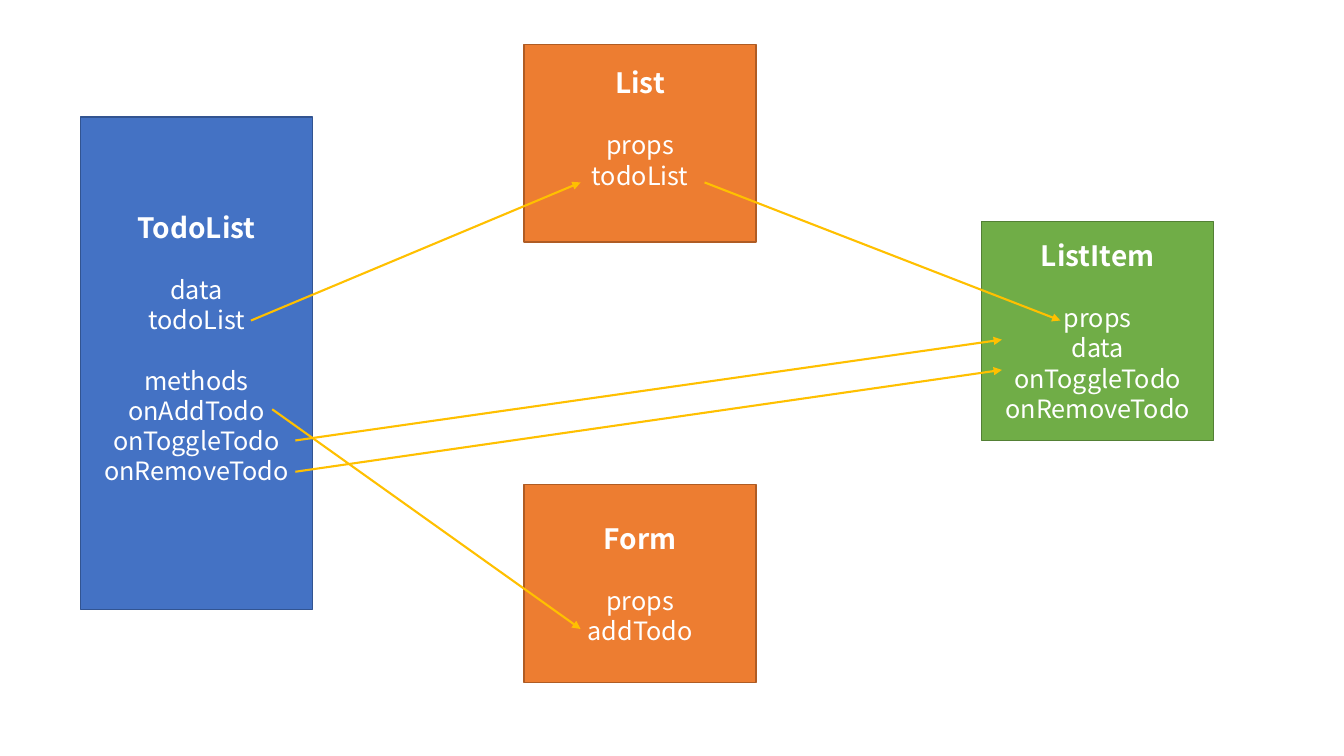
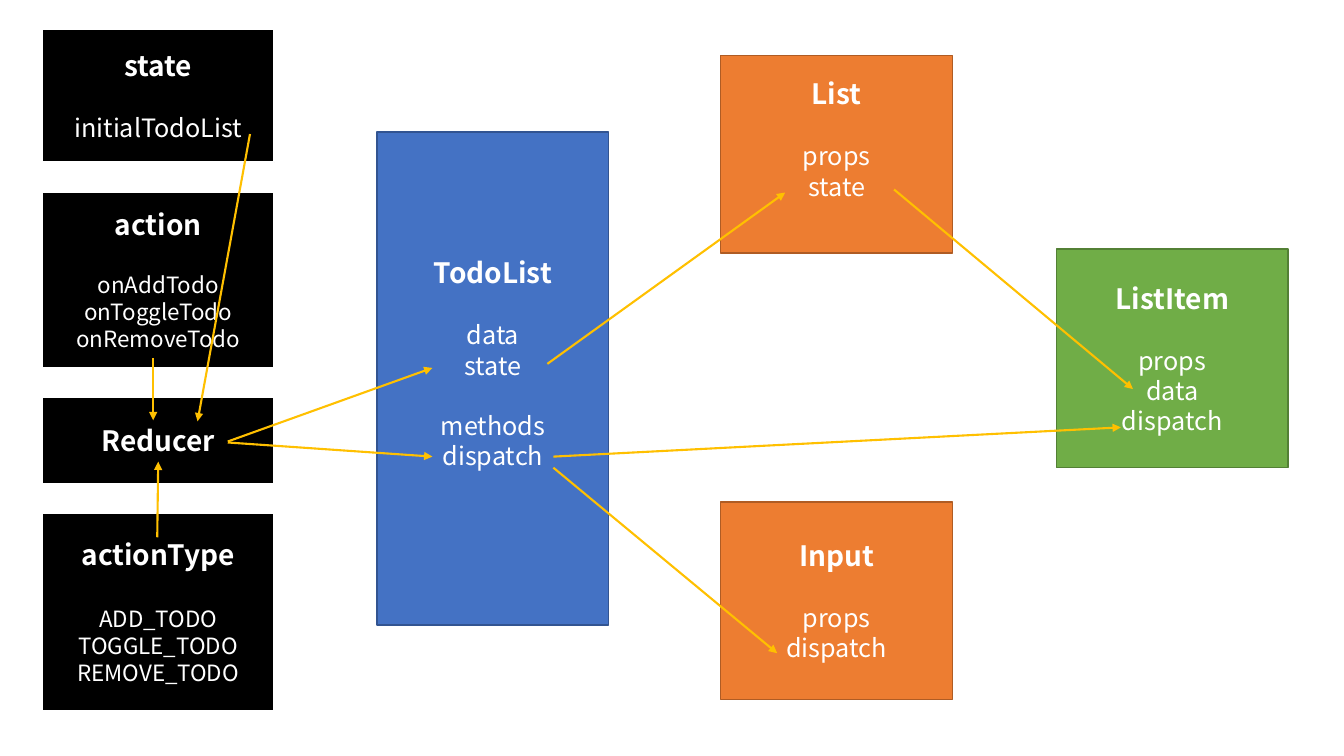
from collections import namedtuple

from lxml import etree
from pptx import Presentation
from pptx import util as u
from pptx.dml.color import RGBColor
from pptx.enum import shapes, text
from pptx.oxml import ns

CELL = u.Inches(0.1)
SLIDE_COLUMNS, SLIDE_ROWS = 133.33, 75
CARD_WIDTH = 23
FONT = "Noto Sans CJK SC"
TITLE_SIZE, BODY_SIZE, SMALL_SIZE = 20, 18, 16
LEADING = 1.2
COLORS = {"text": "FFFFFF", "arrow": "FFC000"}
Style = namedtuple("Style", "fill line weight")
STYLES = {
    "container": Style("4472C4", "325491", 1),
    "child": Style("ED7D31", "AF5C24", 1),
    "item": Style("70AD47", "538035", 1),
    "store": Style("000000", "FFFFFF", 1.5),
}
Box = namedtuple("Box", "column row width height")


def cells(count):
    return round(count * CELL)


def rgb(value):
    return RGBColor.from_string(value)


def write_line(paragraph, words, size, bold):
    paragraph.alignment = text.PP_ALIGN.CENTER
    paragraph.line_spacing = u.Pt(size * LEADING)
    run = paragraph.add_run()
    run.text = words
    run.font.name = FONT
    run.font.size = u.Pt(size)
    run.font.bold = bold
    run.font.color.rgb = rgb(COLORS["text"])


def add_card(slide, box, style_name, title, *groups, size=BODY_SIZE,
             gap=BODY_SIZE, lifted=False):
    style = STYLES[style_name]
    shape = slide.shapes.add_shape(
        shapes.MSO_SHAPE.RECTANGLE, *[cells(length) for length in box])
    shape.shadow.inherit = False
    shape.fill.solid()
    shape.fill.fore_color.rgb = rgb(style.fill)
    shape.line.color.rgb = rgb(style.line)
    shape.line.width = u.Pt(style.weight)
    frame = shape.text_frame
    frame.word_wrap = True
    frame.vertical_anchor = text.MSO_ANCHOR.MIDDLE
    if lifted:
        frame.margin_bottom += u.Pt(gap * LEADING)
    paragraph = frame.paragraphs[0]
    write_line(paragraph, title, TITLE_SIZE, True)
    for group in groups:
        paragraph.space_after = u.Pt(gap * LEADING)
        for words in group.split():
            paragraph = frame.add_paragraph()
            write_line(paragraph, words, size, False)
    return box


def add_arrow(slide, start_box, start, end_box, end):
    points = [cells(edge + offset)
              for box, place in ((start_box, start), (end_box, end))
              for edge, offset in zip(box[:2], place)]
    arrow = slide.shapes.add_connector(shapes.MSO_CONNECTOR.STRAIGHT, *points)
    arrow.line.color.rgb = rgb(COLORS["arrow"])
    arrow.line.width = u.Pt(1.5)
    etree.SubElement(arrow.line._get_or_add_ln(), ns.qn("a:tailEnd"),
                     type="triangle")
    etree.SubElement(arrow._element.spPr, ns.qn("a:effectLst"))


def add_arrows(slide, arrows):
    for arrow in arrows:
        add_arrow(slide, *arrow)


def add_components(slide, places, names, bodies):
    layouts = (("container", 48.9, True), ("child", 19.6, True),
               ("child", 19.6, False), ("item", 21.7, False))
    return [
        add_card(slide, Box(*place, CARD_WIDTH, height), style, name, *groups,
                 lifted=lifted)
        for place, name, groups, (style, height, lifted)
        in zip(places, names, bodies, layouts)]


def add_store(slide, column, top, gap):
    cards = (
        (13.2, "state", ["initialTodoList"], {}),
        (17.5, "action", ["onAddTodo onToggleTodo onRemoveTodo"],
         {"size": SMALL_SIZE}),
        (8.6, "Reducer", [], {}),
        (19.6, "actionType", ["ADD_TODO TOGGLE_TODO REMOVE_TODO"],
         {"size": SMALL_SIZE, "gap": TITLE_SIZE}),
    )
    boxes = []
    for height, title, groups, options in cards:
        box = Box(column, top, CARD_WIDTH, height)
        boxes.append(add_card(slide, box, "store", title, *groups, **options))
        top += height + gap
    return boxes


def build_props_slide(slide):
    todo, todo_list, form, item = add_components(
        slide,
        ((8, 11.6), (52, 4.4), (52, 48.1), (97.4, 22)),
        ("TodoList", "List", "Form", "ListItem"),
        (("data todoList", "methods onAddTodo onToggleTodo onRemoveTodo"),
         ("props todoList",),
         ("props addTodo",),
         ("props data onToggleTodo onRemoveTodo",)))
    add_arrows(slide, (
        (todo, (21.3, 32.1), item, (2, 11.7)),
        (todo, (16.9, 20.2), todo_list, (5.6, 13.7)),
        (todo, (19, 29), form, (5.6, 14.3)),
        (todo, (21.3, 35.2), item, (2, 14.7)),
        (todo_list, (17.9, 13.7), item, (7.8, 9.8)),
    ))


def build_reducer_slide(slide):
    todo, todo_list, entry, item = add_components(
        slide,
        ((37.4, 13.1), (71.5, 5.5), (71.5, 49.8), (104.8, 24.7)),
        ("TodoList", "List", "Input", "ListItem"),
        (("data state", "methods dispatch"),
         ("props state",),
         ("props dispatch",),
         ("props data dispatch",)))
    state, action, reducer, action_type = add_store(slide, 4.2, 2.9, 2.9)
    add_arrows(slide, (
        (todo, (17.5, 33.3), entry, (5.6, 15)),
        (todo, (17.5, 32.2), item, (6.4, 17.7)),
        (todo, (16.9, 23), todo_list, (6.4, 13.6)),
        (todo_list, (17.2, 13.3), item, (7.6, 13.9)),
        (reducer, (18.4, 4.5), todo, (5.5, 32.2)),
        (reducer, (18.4, 4.4), todo, (5.5, 23.4)),
        (action, (11, 16.5), reducer, (11, 2.3)),
        (action_type, (11.4, 2.4), reducer, (11.5, 6.4)),
        (state, (20.6, 10.4), reducer, (15.4, 2.4)),
    ))


presentation = Presentation()
presentation.slide_width = cells(SLIDE_COLUMNS)
presentation.slide_height = cells(SLIDE_ROWS)
for build in (build_props_slide, build_reducer_slide):
    build(presentation.slides.add_slide(presentation.slide_layouts[6]))
presentation.save("out.pptx")
